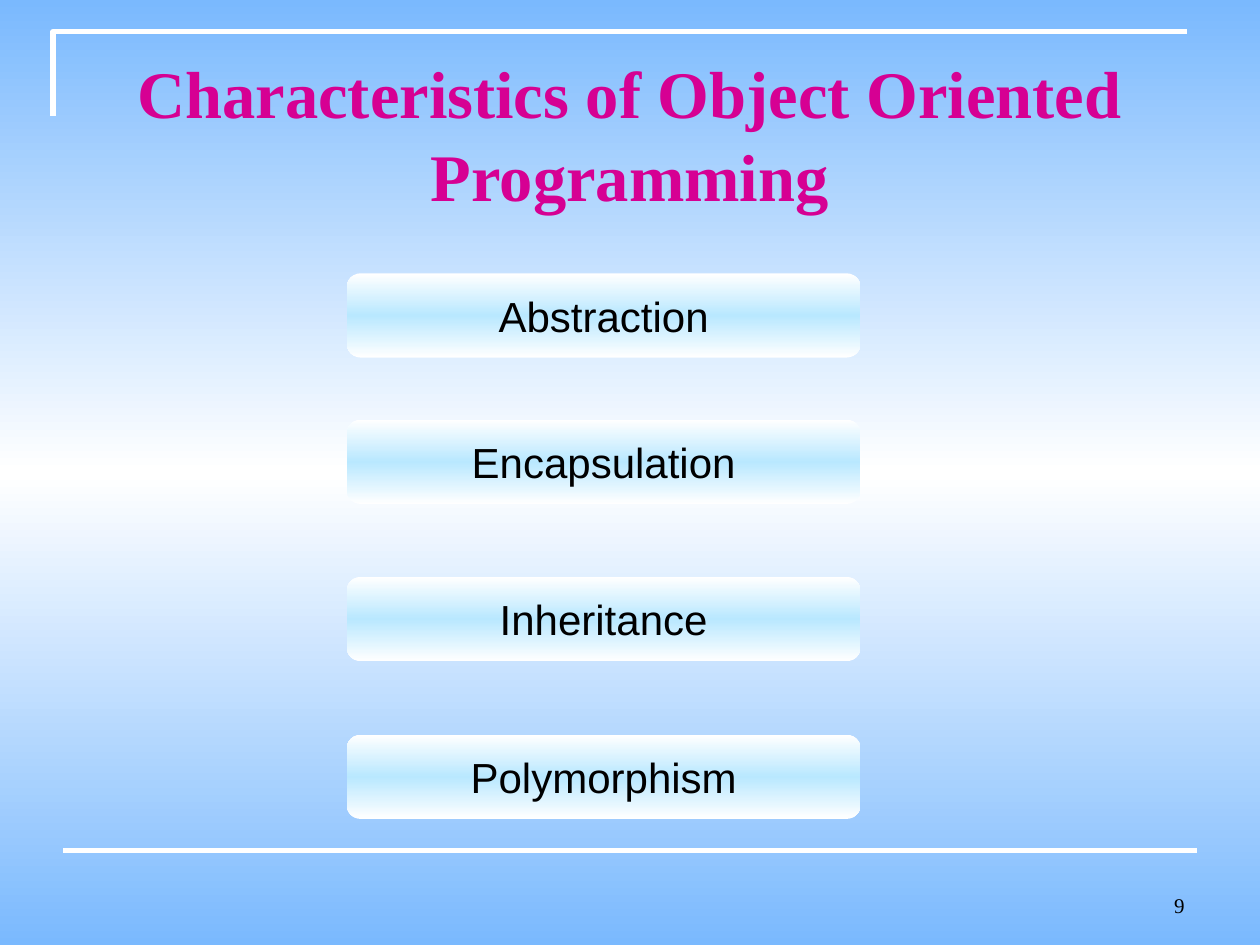
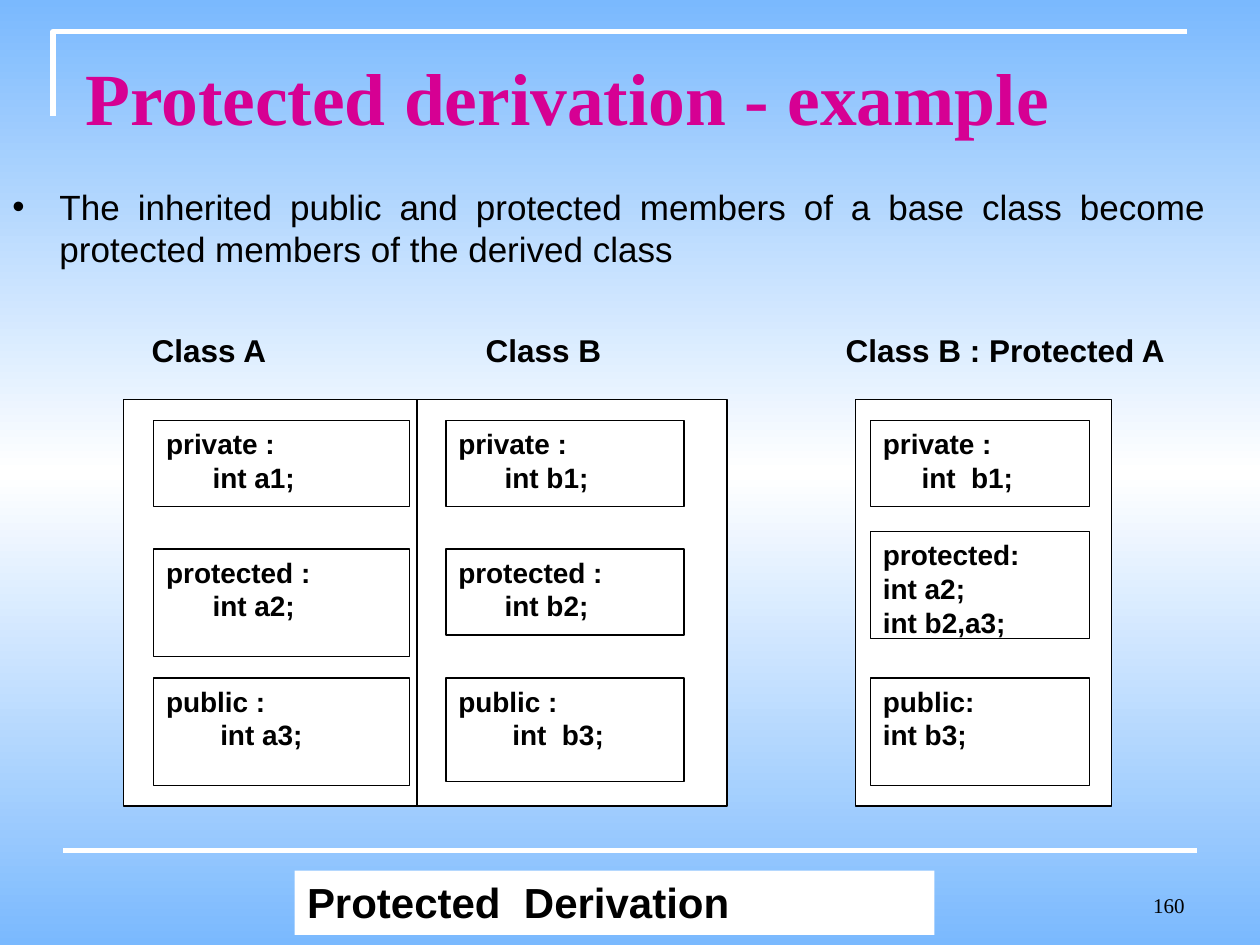
from lxml import etree
from pptx import Presentation
from pptx.dml.color import RGBColor
from pptx.enum.shapes import MSO_CONNECTOR, MSO_SHAPE
from pptx.enum.text import MSO_ANCHOR as ANCHOR, PP_ALIGN as ALIGN
from pptx.oxml.ns import qn
from pptx.util import Cm, Pt

SANS, SERIF = "Arial", "Times New Roman"
WHITE, BLACK, MAGENTA = "FFFFFF", "000000", "D60093"
SKY, ICE = "7AB9FE", "B9E8FF"
rgb = RGBColor.from_string


def fill_gradient(fill, element, edge, middle):
    fill.gradient()
    fill.gradient_angle = 270
    stops = element.find(".//" + qn("a:gsLst"))
    stops.clear()
    for position, colour in ((0, edge), (50000, middle), (100000, edge)):
        stop = etree.SubElement(stops, qn("a:gs"), pos=str(position))
        etree.SubElement(stop, qn("a:srgbClr"), val=colour)


def write(shape, text, size, font=SANS, colour=BLACK, bold=False,
          align=ALIGN.LEFT, anchor=ANCHOR.TOP):
    frame = shape.text_frame
    frame.text = text
    frame.word_wrap = True
    frame.vertical_anchor = anchor
    for paragraph in frame.paragraphs:
        paragraph.alignment = align
        for run in paragraph.runs:
            run.font.name = font
            run.font.size = Pt(size)
            run.font.bold = bold
            run.font.color.rgb = rgb(colour)


presentation = Presentation()
presentation.slide_width = Cm(25.4)
presentation.slide_height = Cm(19.05)

slides = []
for number in ("9", "160"):
    slide = presentation.slides.add_slide(presentation.slide_layouts[6])
    fill_gradient(slide.background.fill, slide.element, SKY, WHITE)

    builder = slide.shapes.build_freeform(Cm(1.07), Cm(2.34))
    builder.add_line_segments([(Cm(1.07), Cm(0.64)), (Cm(23.93), Cm(0.64))], close=False)
    corner = builder.convert_to_shape()
    corner.shadow.inherit = False
    corner.fill.background()

    rule = slide.shapes.add_connector(
        MSO_CONNECTOR.STRAIGHT, Cm(1.27), Cm(17.15), Cm(24.13), Cm(17.15))
    etree.SubElement(rule.element.spPr, qn("a:effectLst"))
    for edge in (corner, rule):
        edge.line.color.rgb = rgb(WHITE)
        edge.line.width = Pt(3)
    # the effect list must follow the line settings
    rule.element.spPr.append(rule.element.spPr.find(qn("a:effectLst")))

    page = slide.shapes.add_textbox(Cm(18.21), Cm(17.35), Cm(5.92), Cm(1.27))
    write(page, number, 12, SERIF, align=ALIGN.RIGHT, anchor=ANCHOR.BOTTOM)
    slides.append(slide)

overview, example = slides

title = overview.shapes.add_textbox(Cm(1.27), Cm(0.76), Cm(22.86), Cm(3.18))
write(title, "Characteristics of Object Oriented Programming", 38, SERIF, MAGENTA,
      bold=True, align=ALIGN.CENTER)
title.text_frame.margin_top = Cm(0.25)
title.text_frame.paragraphs[0].line_spacing = 1.03

for name, top in (("Abstraction", 5.51), ("Encapsulation", 8.46),
                  ("Inheritance", 11.63), ("Polymorphism", 14.81)):
    pill = overview.shapes.add_shape(
        MSO_SHAPE.ROUNDED_RECTANGLE, Cm(6.99), Cm(top), Cm(10.36), Cm(1.7))
    pill.shadow.inherit = False
    fill_gradient(pill.fill, pill.element, WHITE, ICE)
    pill.line.fill.background()
    write(pill, name, 24, align=ALIGN.CENTER, anchor=ANCHOR.MIDDLE)

title = example.shapes.add_textbox(Cm(1.47), Cm(0.84), Cm(22.23), Cm(2.21))
write(title, "Protected derivation - example", 42, SERIF, MAGENTA,
      bold=True, anchor=ANCHOR.MIDDLE)

classes = [
    ("Class A", 2.81, (2.49, 6.63), (3.1, 5.16), [
        (8.48, 1.73, "private :\n      int a1;"),
        (11.07, 2.16, "protected :\n      int a2;"),
        (13.67, 2.16, "public :\n       int a3;")]),
    ("Class B", 9.54, (8.41, 6.25), (8.99, 4.8), [
        (8.48, 1.73, "private :\n      int b1;"),
        (11.07, 1.73, "protected :\n      int b2;"),
        (13.67, 2.08, "public :\n       int  b3;")]),
    ("Class B : Protected A", 16.8, (17.25, 5.16), (17.55, 4.42), [
        (8.48, 1.73, "private :\n     int  b1;"),
        (10.72, 2.16, "protected:\nint a2;\nint b2,a3;"),
        (13.67, 2.16, "public:\nint b3;")]),
]
for heading, heading_left, outer, inner, members in classes:
    label = example.shapes.add_textbox(Cm(heading_left), Cm(6.55), Cm(8), Cm(1.02))
    write(label, heading, 18, bold=True, anchor=ANCHOR.MIDDLE)
    boxes = [(outer, 8.05, 8.2, "")] + [(inner, *member) for member in members]
    for (left, width), top, height, code in boxes:
        box = example.shapes.add_shape(
            MSO_SHAPE.RECTANGLE, Cm(left), Cm(top), Cm(width), Cm(height))
        box.shadow.inherit = False
        box.fill.solid()
        box.fill.fore_color.rgb = rgb(WHITE)
        box.line.color.rgb = rgb(BLACK)
        box.line.width = Pt(0.75)
        write(box, code, 16, bold=True)

caption = example.shapes.add_textbox(Cm(5.94), Cm(17.55), Cm(12.9), Cm(1.3))
caption.fill.solid()
caption.fill.fore_color.rgb = rgb(WHITE)
write(caption, "Protected  Derivation", 24, bold=True)

statement = example.shapes.add_textbox(Cm(0), Cm(3.61), Cm(24.56), Cm(1.96))
write(statement, "The inherited public and protected members of a base class become "
      "protected members of the derived class", 20, align=ALIGN.JUSTIFY, anchor=ANCHOR.MIDDLE)
properties = statement.text_frame.paragraphs[0]._p.get_or_add_pPr()
properties.set("marL", str(Cm(0.95)))
properties.set("indent", str(Cm(-0.95)))
etree.SubElement(properties, qn("a:buFont"), typeface=SANS)
etree.SubElement(properties, qn("a:buChar"), char="•")

presentation.save("out.pptx")
